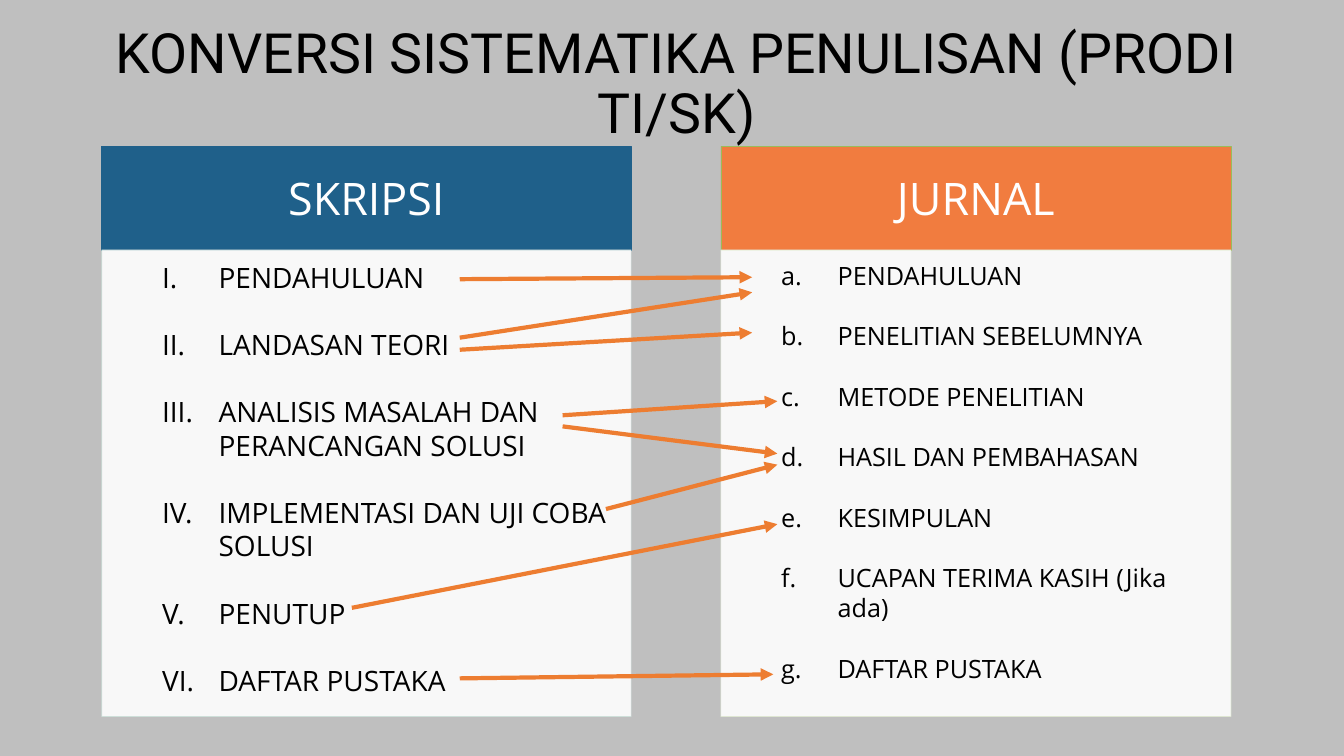
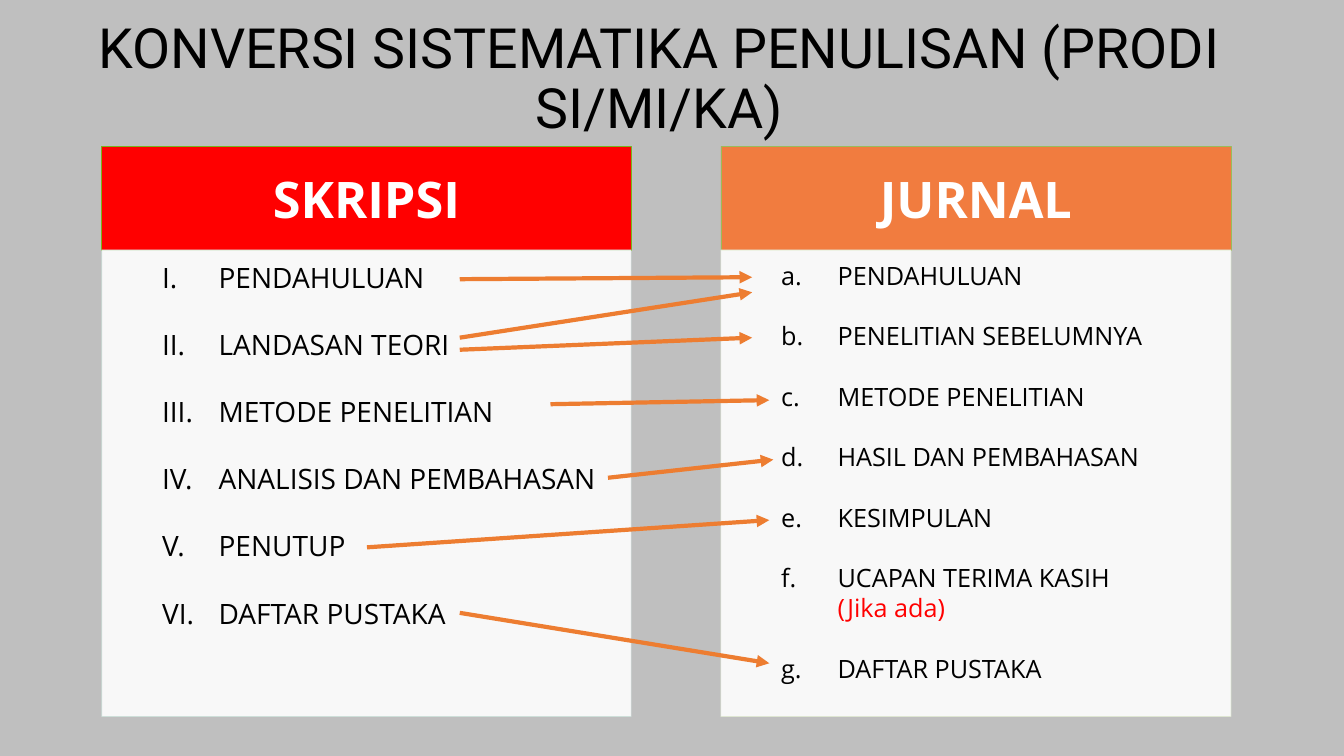
import dataclasses
from typing import NamedTuple

import lxml.etree
import pptx
import pptx.dml.color
import pptx.enum.shapes
import pptx.enum.text
import pptx.oxml.ns
import pptx.util

Inches = pptx.util.Inches
Pt = pptx.util.Pt
Align = pptx.enum.text.PP_ALIGN
Anchor = pptx.enum.text.MSO_ANCHOR
qn = pptx.oxml.ns.qn

COLORS = {
    "background": "BFBFBF",
    "text": "000000",
    "white": "FFFFFF",
    "arrow": "ED7D31",
    "blue": "1F608A",
    "red": "FF0000",
    "orange": "F17C3F",
    "green": "7BB21B",
    "olive": "9BBB59",
    "pale_teal": "CCDFD9",
    "pale_olive": "DEE7D1",
}
BODY_FONT = "Open Sans"
TITLE_FONT = "Roboto"
PANEL_TOP, HEADER_HEIGHT, LIST_HEIGHT = 1.45, 1.03, 4.63
HEADER_INSETS = (0.25, 0.14, 0.25, 0.14)
LIST_INSETS = (0.1, 0.1, 0.13, 0.15)
LIST_LINE_SPACING = 1.0
LIST_GAP = 1.2  # gap between items, in multiples of the text size


class Column(NamedTuple):
    heading: str
    left: float
    width: float
    list_line: str
    numbering: str
    size: int


class Arrow(NamedTuple):
    start: tuple[float, float]
    end: tuple[float, float]


@dataclasses.dataclass
class Conversion:
    title: str
    title_at: tuple[float, float]
    heading_size: int
    heading_bold: bool
    header_colors: list[tuple[str, str]]  # fill and line of each column
    lists: list[list[str | tuple[str, str]]]  # a pair puts its red note on a new line
    arrows: list[Arrow]


COLUMNS = [
    Column("SKRIPSI", 1.01, 5.25, "pale_teal", "romanUcPeriod", 20),
    Column("JURNAL", 7.15, 5.06, "pale_olive", "alphaLcPeriod", 18),
]
JOURNAL_START = ["PENDAHULUAN", "PENELITIAN SEBELUMNYA", "METODE PENELITIAN",
                 "HASIL DAN PEMBAHASAN", "KESIMPULAN"]
SHARED_ARROWS = [
    Arrow((4.56, 2.77), (7.46, 2.75)),
    Arrow((4.56, 3.35), (7.46, 2.9)),
]
CONVERSIONS = [
    Conversion(
        title="KONVERSI SISTEMATIKA PENULISAN (PRODI TI/SK)",
        title_at=(0.96, 0.3),
        heading_size=32,
        heading_bold=False,
        header_colors=[("blue", "blue"), ("orange", "olive")],
        lists=[
            ["PENDAHULUAN", "LANDASAN TEORI", "ANALISIS MASALAH DAN PERANCANGAN SOLUSI",
             "IMPLEMENTASI DAN UJI COBA SOLUSI", "PENUTUP", "DAFTAR PUSTAKA"],
            [*JOURNAL_START, "UCAPAN TERIMA KASIH (Jika ada)", "DAFTAR PUSTAKA"],
        ],
        arrows=[
            *SHARED_ARROWS,
            Arrow((4.56, 3.47), (7.46, 3.3)),
            Arrow((5.58, 4.12), (7.71, 3.98)),
            Arrow((5.58, 4.23), (7.71, 4.5)),
            Arrow((6.01, 5.05), (7.71, 4.61)),
            Arrow((3.49, 6.03), (7.71, 5.2)),
            Arrow((4.56, 6.73), (7.67, 6.69)),
        ],
    ),
    Conversion(
        title="KONVERSI SISTEMATIKA PENULISAN (PRODI SI/MI/KA)",
        title_at=(0.79, 0.25),
        heading_size=36,
        heading_bold=True,
        header_colors=[("red", "green"), ("orange", "olive")],
        lists=[
            ["PENDAHULUAN", "LANDASAN TEORI", "METODE PENELITIAN",
             "ANALISIS DAN PEMBAHASAN", "PENUTUP", "DAFTAR PUSTAKA"],
            [*JOURNAL_START, ("UCAPAN TERIMA KASIH", "(Jika ada)"), "DAFTAR PUSTAKA"],
        ],
        arrows=[
            *SHARED_ARROWS,
            Arrow((4.56, 3.47), (7.46, 3.35)),
            Arrow((5.46, 4.01), (7.63, 3.97)),
            Arrow((6.03, 4.74), (7.67, 4.56)),
            Arrow((3.64, 5.43), (7.63, 5.16)),
            Arrow((4.56, 6.08), (7.63, 6.58)),
        ],
    ),
]


def rgb(name: str) -> pptx.dml.color.RGBColor:
    return pptx.dml.color.RGBColor.from_string(COLORS[name])


def add_text(para, text: str, *, size: float, color: str = "text",
             font: str = BODY_FONT, bold: bool = False) -> None:
    span = para.add_run()
    span.text = text
    span.font.size = Pt(size)
    span.font.name = font
    span.font.bold = bold
    span.font.color.rgb = rgb(color)


def add_panel(page, left: float, top: float, width: float, height: float, *,
              fill: str, line: str, insets: tuple[float, ...], anchor: Anchor,
              opacity: int = 100):
    """Draw a filled rectangle and return its text frame."""
    box = page.shapes.add_shape(pptx.enum.shapes.MSO_SHAPE.RECTANGLE, Inches(left),
                                Inches(top), Inches(width), Inches(height))
    box.shadow.inherit = False
    box.fill.solid()
    box.fill.fore_color.rgb = rgb(fill)
    box.line.color.rgb = rgb(line)
    box.line.width = Pt(0.5)
    if opacity < 100:
        for color in box._element.spPr.iter(qn("a:srgbClr")):
            lxml.etree.SubElement(color, qn("a:alpha"), val=str(opacity * 1000))
    frame = box.text_frame
    frame.word_wrap = True
    frame.vertical_anchor = anchor
    (frame.margin_left, frame.margin_top,
     frame.margin_right, frame.margin_bottom) = map(Inches, insets)
    return frame


def number_paragraph(para, numbering: str) -> None:
    properties = para._p.get_or_add_pPr()
    properties.set("marL", str(Inches(1.06)))
    properties.set("indent", str(Inches(-0.56)))
    lxml.etree.SubElement(properties, qn("a:buAutoNum"), type=numbering)


def fill_list(frame, column: Column, items: list[str | tuple[str, str]]) -> None:
    for index, item in enumerate(items):
        para = frame.add_paragraph() if index else frame.paragraphs[0]
        number_paragraph(para, column.numbering)
        para.alignment = Align.LEFT
        para.line_spacing = LIST_LINE_SPACING
        para.space_before = Pt(column.size * LIST_GAP if index else 0)
        text, note = (item, "") if isinstance(item, str) else item
        add_text(para, text, size=column.size)
        if note:
            para.add_line_break()
            add_text(para, note, size=column.size, color="red")


def add_column(page, column: Column, conversion: Conversion,
               header_colors: tuple[str, str], items: list[str | tuple[str, str]]) -> None:
    fill, line = header_colors
    header = add_panel(page, column.left, PANEL_TOP, column.width, HEADER_HEIGHT,
                       fill=fill, line=line, insets=HEADER_INSETS, anchor=Anchor.MIDDLE)
    para = header.paragraphs[0]
    para.alignment = Align.CENTER
    add_text(para, column.heading, size=conversion.heading_size, color="white",
             bold=conversion.heading_bold)
    body = add_panel(page, column.left, PANEL_TOP + HEADER_HEIGHT, column.width, LIST_HEIGHT,
                     fill="white", line=column.list_line, insets=LIST_INSETS,
                     anchor=Anchor.TOP, opacity=90)
    fill_list(body, column, items)


def add_title(page, text: str, left: float, top: float) -> None:
    box = page.shapes.add_textbox(Inches(left), Inches(top), Inches(11.5), Inches(1.1))
    box.text_frame.word_wrap = True
    box.text_frame.vertical_anchor = Anchor.MIDDLE
    para = box.text_frame.paragraphs[0]
    para.alignment = Align.CENTER
    para.line_spacing = 0.9
    add_text(para, text, size=39.6, font=TITLE_FONT)


def add_arrow(page, arrow: Arrow) -> None:
    connector = page.shapes.add_connector(pptx.enum.shapes.MSO_CONNECTOR.STRAIGHT,
                                          *map(Inches, arrow.start + arrow.end))
    connector.line.color.rgb = rgb("arrow")
    connector.line.width = Pt(3)
    lxml.etree.SubElement(connector.line._get_or_add_ln(), qn("a:tailEnd"), type="triangle")
    lxml.etree.SubElement(connector._element.spPr, qn("a:effectLst"))


def add_conversion(deck, conversion: Conversion) -> None:
    page = deck.slides.add_slide(deck.slide_layouts[6])
    page.background.fill.solid()
    page.background.fill.fore_color.rgb = rgb("background")
    for column, colors, items in zip(COLUMNS, conversion.header_colors, conversion.lists):
        add_column(page, column, conversion, colors, items)
    add_title(page, conversion.title, *conversion.title_at)
    for arrow in conversion.arrows:
        add_arrow(page, arrow)


def main() -> None:
    deck = pptx.Presentation()
    deck.slide_width = Inches(13.33)
    deck.slide_height = Inches(7.5)
    for conversion in CONVERSIONS:
        add_conversion(deck, conversion)
    deck.save("out.pptx")


if __name__ == "__main__":
    main()
